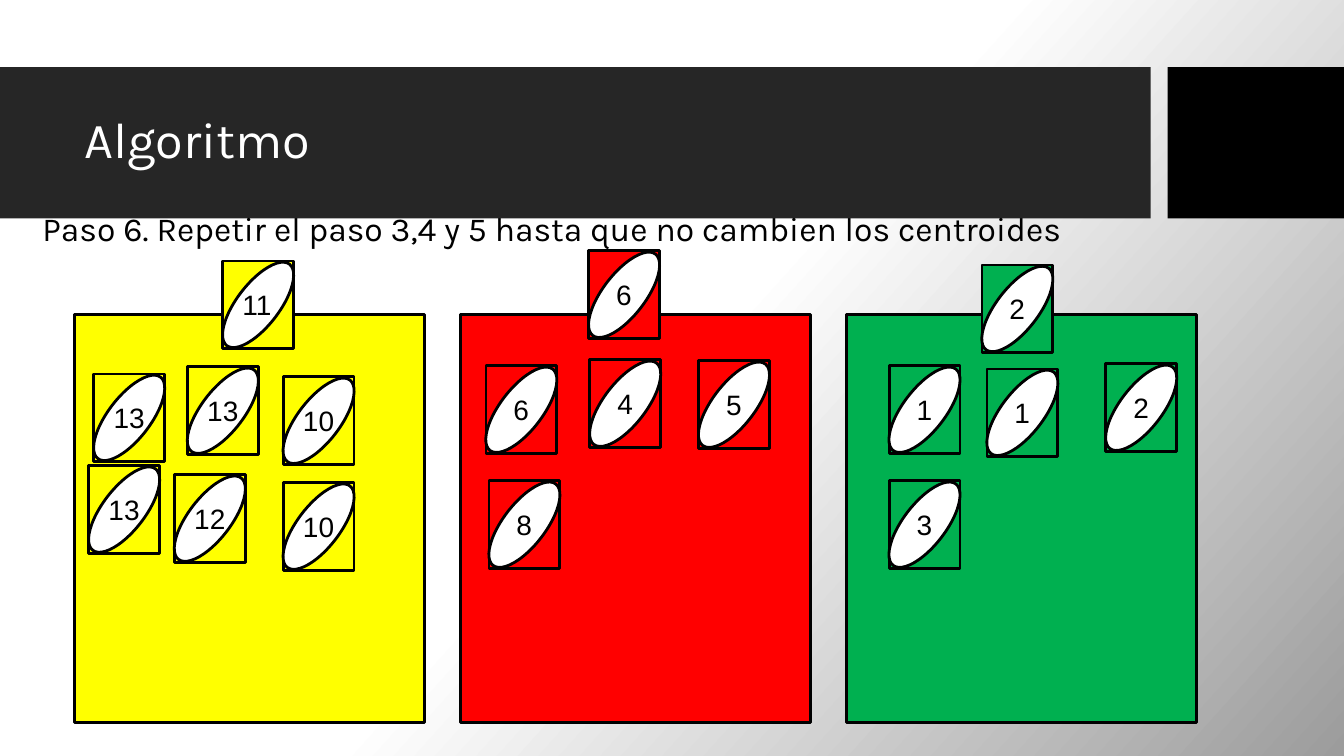
import dataclasses

import pptx
import pptx.dml.color
import pptx.enum.shapes
import pptx.enum.text
import pptx.util

Pt = pptx.util.Pt
SHAPE = pptx.enum.shapes.MSO_SHAPE
ANCHOR = pptx.enum.text.MSO_ANCHOR


@dataclasses.dataclass(frozen=True)
class Theme:
    white: str = "FFFFFF"
    black: str = "000000"
    shade: str = "9C9C9C"
    banner: str = "262626"
    yellow: str = "FFFF00"
    red: str = "FF0000"
    green: str = "00B050"
    heading_font: str = "Karla"
    number_font: str = "Arial"
    title_size: int = 36
    step_size: int = 24
    number_size: int = 20
    outline: int = 2


THEME = Theme()

PANEL_WIDTH, PANEL_HEIGHT, PANEL_PITCH = 249.8, 291.6, 275.8
CARD_WIDTH, CARD_HEIGHT = 50.6, 62.8
OVAL_WIDTH, OVAL_HEIGHT, OVAL_ANGLE = 73.4, 30.2, 307.6
NUMBER_HEIGHT, NUMBER_MARGINS, DIGIT_WIDTH = 31.6, 14.4, 11.1

# Each cluster: colour, then (value, x, y) measured from the panel corner.
# The first value is the centroid, which sits on the top edge of the panel.
CLUSTERS = (
    (THEME.yellow, ((11, 105.8, -38.2), (13, 13.7, 42.5), (13, 80.6, 37.4),
                    (10, 149, 44.6), (13, 10.1, 108), (12, 71.3, 114.5),
                    (10, 149, 120.2))),
    (THEME.red, ((6, 91.4, -45.4), (6, 18, 36.7), (4, 92.2, 32.4),
                 (5, 169.9, 33.1), (8, 20.2, 118.8))),
    (THEME.green, ((2, 96.5, -35.3), (1, 30.2, 36.7), (1, 100.1, 38.9),
                   (2, 185, 35.3), (3, 30.2, 118.8))),
)


def rgb(value):
    return pptx.dml.color.RGBColor.from_string(value)


def add_figure(shapes, kind, box, colour, outlined=True):
    figure = shapes.add_shape(kind, *map(Pt, box))
    figure.shadow.inherit = False
    figure.fill.solid()
    figure.fill.fore_color.rgb = rgb(colour)
    if outlined:
        figure.line.color.rgb = rgb(THEME.black)
        figure.line.width = Pt(THEME.outline)
    else:
        figure.line.fill.background()
    return figure


def add_text(shapes, text, box, *, font, size, colour=THEME.black,
             anchor=ANCHOR.TOP, wrap=True, spacing=None):
    frame = shapes.add_textbox(*map(Pt, box)).text_frame
    frame.word_wrap = wrap
    frame.vertical_anchor = anchor
    if not wrap:
        frame.auto_size = pptx.enum.text.MSO_AUTO_SIZE.SHAPE_TO_FIT_TEXT
    para = frame.paragraphs[0]
    para.line_spacing = spacing
    span = para.add_run()
    span.text = text
    span.font.name = font
    span.font.size = Pt(size)
    span.font.color.rgb = rgb(colour)
    return frame


def centred(box, width, height):
    """Box of the given size that shares its centre with another box."""
    left, top, outer_width, outer_height = box
    return (left + (outer_width - width) / 2,
            top + (outer_height - height) / 2, width, height)


def paint_background(page):
    fill = page.background.fill
    fill.gradient()
    fill.gradient_angle = 360 - 42
    for stop, position, colour in zip(fill.gradient_stops, (0.5, 1),
                                      (THEME.white, THEME.shade)):
        stop.position = position
        stop.color.rgb = rgb(colour)


def add_header(page, box):
    left, top, width, height = box
    block_width, gap = 126, 12
    banner_width = width - block_width - gap
    add_figure(page.shapes, SHAPE.RECTANGLE,
               (left, top, banner_width, height), THEME.banner, outlined=False)
    add_figure(page.shapes, SHAPE.RECTANGLE,
               (left + width - block_width, top, block_width, height),
               THEME.black, outlined=False)
    add_text(page.shapes, "Algoritmo", (left + 53.3, top + 10.8, 756.7, 85),
             font=THEME.heading_font, size=THEME.title_size,
             colour=THEME.white, anchor=ANCHOR.MIDDLE, spacing=0.9)


def add_step(page, box):
    frame = add_text(
        page.shapes,
        "Paso 6. Repetir el paso 3,4 y 5 hasta que no cambien los centroides",
        box, font=THEME.heading_font, size=THEME.step_size)
    frame.margin_left = Pt(13)


def add_card(page, value, box, colour):
    """Group a coloured card, its tilted oval and its number."""
    shapes = page.shapes.add_group_shape().shapes
    add_figure(shapes, SHAPE.RECTANGLE, box, colour)
    oval = add_figure(shapes, SHAPE.OVAL,
                      centred(box, OVAL_WIDTH, OVAL_HEIGHT), THEME.white)
    oval.rotation = OVAL_ANGLE
    text = str(value)
    number_width = NUMBER_MARGINS + DIGIT_WIDTH * len(text)
    add_text(shapes, text, centred(box, number_width, NUMBER_HEIGHT),
             font=THEME.number_font, size=THEME.number_size, wrap=False)


def add_cluster(page, box, colour, cards):
    left, top = box[:2]
    add_figure(page.shapes, SHAPE.RECTANGLE, box, colour)
    for value, x, y in cards:
        add_card(page, value, (left + x, top + y, CARD_WIDTH, CARD_HEIGHT),
                 colour)


def main():
    deck = pptx.Presentation()
    deck.slide_width, deck.slide_height = Pt(960), Pt(540)
    page = deck.slides.add_slide(deck.slide_layouts[6])
    paint_background(page)
    add_header(page, (0, 48, 960, 108))
    add_step(page, (17.3, 144.7, 882.7, 65.5))
    for index, (colour, cards) in enumerate(CLUSTERS):
        add_cluster(page, (53.3 + index * PANEL_PITCH, 224.6,
                           PANEL_WIDTH, PANEL_HEIGHT), colour, cards)
    deck.save("out.pptx")


if __name__ == "__main__":
    main()
